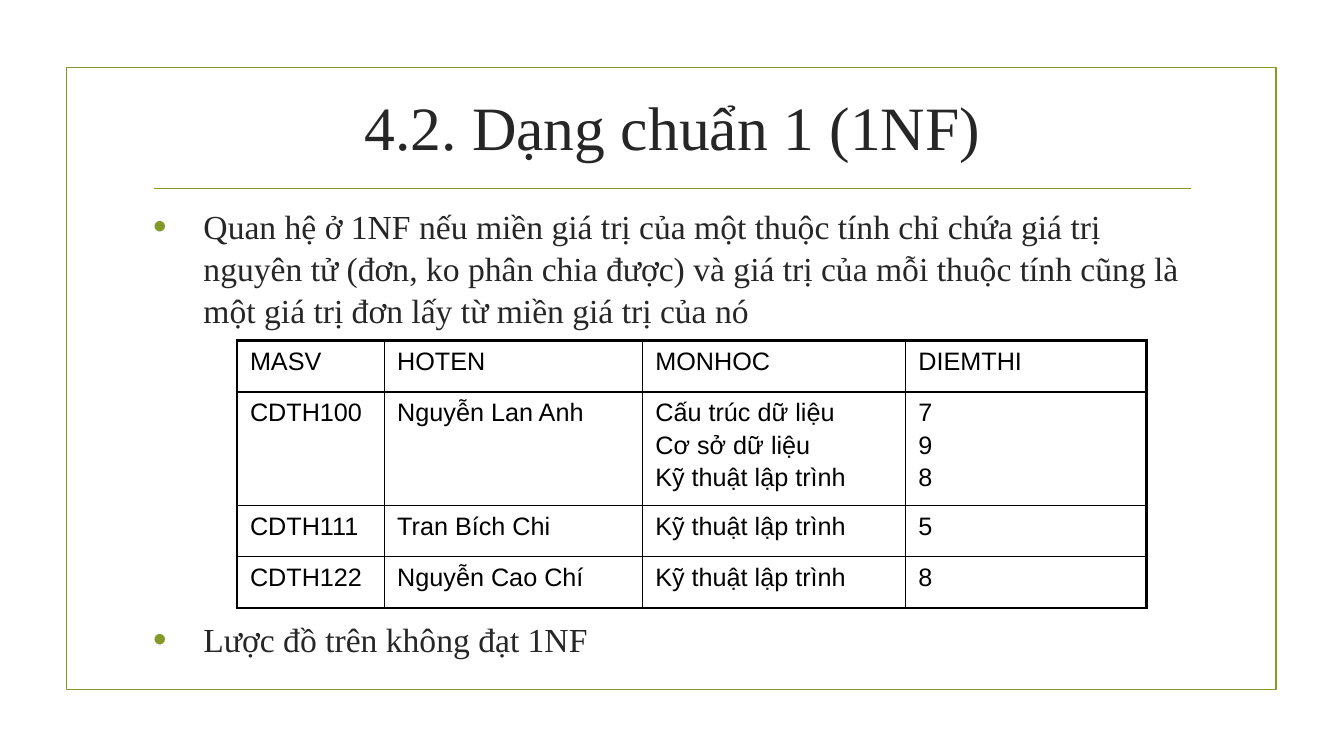
from typing import NamedTuple

from lxml import etree
from pptx import Presentation
from pptx.dml.color import RGBColor
from pptx.enum.shapes import MSO_CONNECTOR, MSO_SHAPE
from pptx.enum.text import MSO_ANCHOR, PP_ALIGN
from pptx.oxml.ns import qn
from pptx.util import Emu, Pt

PX = 9144  # EMU per px, 100 px to the inch
COLORS = {"olive": "83992A", "ink": "262626", "black": "000000"}
SERIF, SANS = "Times New Roman", "Arial"
RECTANGLE, STRAIGHT = MSO_SHAPE.RECTANGLE, MSO_CONNECTOR.STRAIGHT
LEFT, CENTER, JUSTIFY = PP_ALIGN.LEFT, PP_ALIGN.CENTER, PP_ALIGN.JUSTIFY
TOP, MIDDLE = MSO_ANCHOR.TOP, MSO_ANCHOR.MIDDLE
THIN, THICK = 1, 2.25


class Box(NamedTuple):
    left: int
    top: int
    width: int
    height: int

    def emu(self) -> list[Emu]:
        return [px(length) for length in self]


class Style(NamedTuple):
    font: str
    size: int
    color: str
    align: PP_ALIGN


class Bullet(NamedTuple):
    text: str
    box: Box


TITLE_STYLE = Style(SERIF, 44, "ink", CENTER)
BODY_STYLE = Style(SERIF, 24, "ink", LEFT)
CELL_STYLE = Style(SANS, 18, "black", JUSTIFY)

FRAME = Box(66, 67, 1200, 617)
TITLE_BOX = Box(142, 68, 1050, 114)
BULLETS = [
    Bullet("Quan hệ ở 1NF nếu miền giá trị của một thuộc tính chỉ chứa giá trị "
           "nguyên tử (đơn, ko phân chia được) và giá trị của mỗi thuộc tính cũng là "
           "một giá trị đơn lấy từ miền giá trị của nó", Box(142, 198, 1050, 130)),
    Bullet("Lược đồ trên không đạt 1NF", Box(142, 608, 1050, 50)),
]

COLUMN_WIDTHS = [146, 256, 261, 239]
ROW_HEIGHTS = [51, 111, 51, 51]
TABLE_BOX = Box(235, 338, sum(COLUMN_WIDTHS), sum(ROW_HEIGHTS))
GRADES = [
    ["MASV", "HOTEN", "MONHOC", "DIEMTHI"],
    ["CDTH100", "Nguyễn Lan Anh",
     "Cấu trúc dữ liệu\nCơ sở dữ liệu\nKỹ thuật lập trình", "7\n9\n8"],
    ["CDTH111", "Tran Bích Chi", "Kỹ thuật lập trình", "5"],
    ["CDTH122", "Nguyễn Cao Chí", "Kỹ thuật lập trình", "8"],
]


def px(length: int) -> Emu:
    return Emu(length * PX)


def rgb(color: str) -> RGBColor:
    return RGBColor.from_string(COLORS[color])


def write(frame, text: str, style: Style) -> None:
    frame.text = text
    for paragraph in frame.paragraphs:
        paragraph.alignment = style.align
        for run in paragraph.runs:
            run.font.name = style.font
            run.font.size = Pt(style.size)
            run.font.color.rgb = rgb(style.color)


def add_text(slide, box: Box, text: str, style: Style, anchor: MSO_ANCHOR):
    frame = slide.shapes.add_textbox(*box.emu()).text_frame
    frame.word_wrap = True
    frame.vertical_anchor = anchor
    write(frame, text, style)
    return frame


def add_bullet(slide, bullet: Bullet) -> None:
    frame = add_text(slide, bullet.box, bullet.text, BODY_STYLE, TOP)
    paragraph = frame.paragraphs[0]
    paragraph.line_spacing = 1.04
    properties = paragraph._p.get_or_add_pPr()
    properties.set("marL", str(px(50)))
    properties.set("indent", str(px(-50)))
    color = etree.SubElement(properties, qn("a:buClr"))
    etree.SubElement(color, qn("a:srgbClr"), val=COLORS["olive"])
    etree.SubElement(properties, qn("a:buSzPct"), val="115000")
    etree.SubElement(properties, qn("a:buFont"), typeface=SANS)
    etree.SubElement(properties, qn("a:buChar"), char="•")


def add_frame_and_rule(slide) -> None:
    frame = slide.shapes.add_shape(RECTANGLE, *FRAME.emu())
    frame.shadow.inherit = False
    frame.fill.background()
    rule = slide.shapes.add_connector(STRAIGHT, px(153), px(187), px(1181), px(187))
    etree.SubElement(rule._element.spPr, qn("a:effectLst"))
    for outline in (frame.line, rule.line):
        outline.color.rgb = rgb("olive")
        outline.width = Pt(1.25)
    # The effect list has to follow the line properties.
    rule._element.spPr.append(rule._element.spPr.find(qn("a:effectLst")))


def set_borders(cell, widths: dict[str, float]) -> None:
    properties = cell._tc.get_or_add_tcPr()
    for position, (side, width) in enumerate(widths.items()):
        border = etree.Element(qn(f"a:{side}"), w=str(Pt(width)))
        fill = etree.SubElement(border, qn("a:solidFill"))
        etree.SubElement(fill, qn("a:srgbClr"), val=COLORS["black"])
        properties.insert(position, border)


def add_grades(slide) -> None:
    last_row, last_column = len(ROW_HEIGHTS) - 1, len(COLUMN_WIDTHS) - 1
    table = slide.shapes.add_table(last_row + 1, last_column + 1, *TABLE_BOX.emu()).table
    table.first_row = table.horz_banding = False
    for column, width in zip(table.columns, COLUMN_WIDTHS):
        column.width = px(width)
    for r, (row, height) in enumerate(zip(table.rows, ROW_HEIGHTS)):
        row.height = px(height)
        for c, cell in enumerate(row.cells):
            cell.margin_left = cell.margin_right = px(13)
            cell.margin_top = cell.margin_bottom = px(7)
            cell.fill.background()
            write(cell.text_frame, GRADES[r][c], CELL_STYLE)
            for paragraph in cell.text_frame.paragraphs:
                paragraph.space_before = Pt(3)
            set_borders(cell, {
                "lnL": THICK if c == 0 else THIN,
                "lnR": THICK if c == last_column else THIN,
                "lnT": THICK if r == 0 else THIN,
                "lnB": THICK if r == last_row else THIN,
            })


def main() -> None:
    deck = Presentation()
    deck.slide_width, deck.slide_height = px(1333), px(750)
    slide = deck.slides.add_slide(deck.slide_layouts[6])
    add_frame_and_rule(slide)
    add_text(slide, TITLE_BOX, "4.2. Dạng chuẩn 1 (1NF)", TITLE_STYLE, MIDDLE)
    for bullet in BULLETS:
        add_bullet(slide, bullet)
    add_grades(slide)
    deck.save("out.pptx")


if __name__ == "__main__":
    main()
